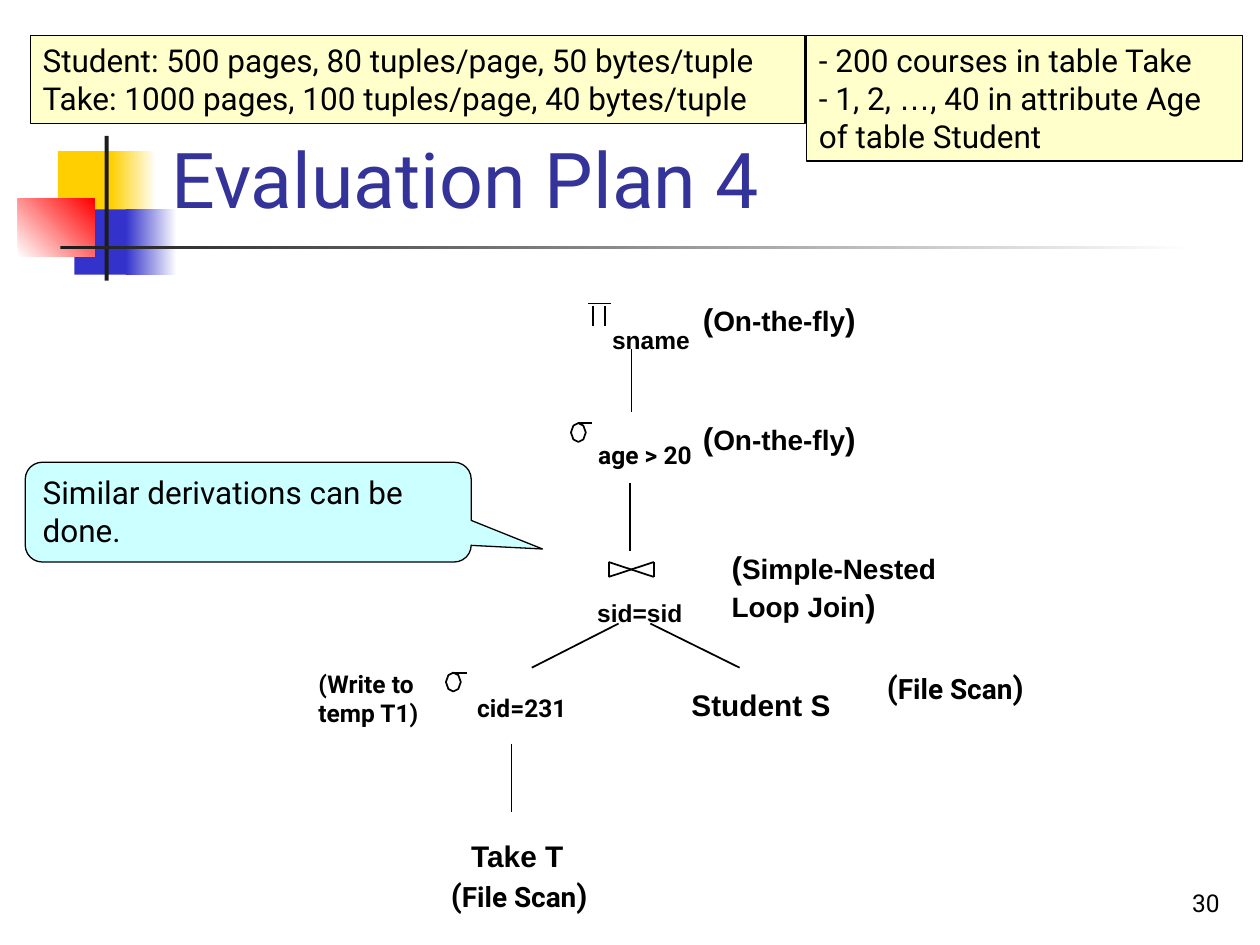
import itertools

import lxml.etree
import pptx
import pptx.dml.color
import pptx.enum.shapes
import pptx.enum.text
import pptx.oxml.ns
import pptx.util

KIND = pptx.enum.shapes.MSO_SHAPE
ALIGN = pptx.enum.text.PP_ALIGN
ANCHOR = pptx.enum.text.MSO_ANCHOR


def hue(code):
    return pptx.dml.color.RGBColor.from_string(code)


def write(shape, text, font="Roboto", size=18, big=None, color="000000",
          bold=False, wrap=True, align=ALIGN.LEFT, anchor=ANCHOR.TOP):
    """Fill a shape with lines of text; big is the size of the brackets."""
    frame = shape.text_frame
    frame.auto_size = pptx.enum.text.MSO_AUTO_SIZE.NONE
    frame.word_wrap = wrap
    frame.vertical_anchor = anchor
    for index, line in enumerate(text.split("\n")):
        para = frame.add_paragraph() if index else frame.paragraphs[0]
        para.alignment = align
        style = lambda ch: (big if big and ch in "()" else size,
                            "Arial" if ch == "…" else font)
        for (points, face), chars in itertools.groupby(line, style):
            run = para.add_run()
            run.text = "".join(chars)
            run.font.name = face
            run.font.size = pptx.util.Pt(points)
            run.font.bold = bold
            run.font.color.rgb = hue(color)


deck = pptx.Presentation()
deck.slide_width = pptx.util.Cm(25.4)
deck.slide_height = pptx.util.Cm(19.05)
slide = deck.slides.add_slide(deck.slide_layouts[5])
shapes = slide.shapes

# Corner ornament: place, start colour, end colour, angle
blocks = [
    ((1.17, 3.05, 1.22, 1.32), "FFCF01", None, 0),
    ((2.24, 3.05, 0.91, 1.32), "FFCF01", "FFFFFF", 0),
    ((1.5, 4.22, 1.17, 1.32), "3333CC", None, 0),
    ((2.54, 4.22, 1.02, 1.32), "3333CC", "FFFFFF", 0),
    ((0.36, 4.01, 1.55, 1.17), "FFFFFF", "FF0000", 45),
    ((2.11, 2.74, 0.08, 2.92), "1C1C1C", None, 0),
    ((1.22, 4.95, 22.86, 0.08), "1C1C1C", "FFFFFF", 0),
]
for place, start, end, angle in blocks:
    block = shapes.add_shape(KIND.RECTANGLE, *map(pptx.util.Cm, place))
    block.shadow.inherit = False
    block.line.fill.background()
    if end:
        block.fill.gradient()
        block.fill.gradient_angle = angle
        for stop, code in zip(block.fill.gradient_stops, (start, end)):
            stop.color.rgb = hue(code)
    else:
        block.fill.solid()
        block.fill.fore_color.rgb = hue(start)

# Title, in front of the ornament
title = shapes.title
title.left, title.top, title.width, title.height = map(
    pptx.util.Cm, (3.2, 0.58, 21.64, 4.06))
write(title, "Evaluation Plan 4", size=44, color="333399", anchor=ANCHOR.BOTTOM)
shapes._spTree.append(title._element)

# Slide number
number = shapes.add_textbox(*map(pptx.util.Cm, (19.56, 17.35, 5.28, 1.27)))
write(number, "30", size=14, align=ALIGN.RIGHT, anchor=ANCHOR.BOTTOM)

# Strokes of the plan tree: from x, y to x, y
sigmas = [(8.99, 13.56), (11.51, 8.53)]
strokes = [
    (11.96, 6.17, 11.96, 6.58),    # projection sign
    (12.19, 6.17, 12.19, 6.58),
    (11.86, 6.12, 12.32, 6.12),
    (12.27, 11.33, 12.27, 11.63),  # join sign
    (13.18, 11.33, 13.18, 11.63),
    (12.27, 11.33, 13.18, 11.63),
    (12.27, 11.63, 13.18, 11.33),
    (12.73, 7.04, 12.73, 8.31),    # branches
    (12.7, 9.73, 12.7, 11.1),
    (10.72, 13.46, 12.47, 12.57),
    (13.11, 12.57, 14.91, 13.46),
    (10.31, 14.99, 10.31, 16.36),
]
strokes += [(x + 0.15, y, x + 0.43, y) for x, y in sigmas]
for ends in strokes:
    stroke = shapes.add_connector(pptx.enum.shapes.MSO_CONNECTOR.STRAIGHT,
                                  *map(pptx.util.Cm, ends))
    stroke.line.color.rgb = hue("000000")
    stroke.line.width = pptx.util.Pt(1)
    lxml.etree.SubElement(stroke._element.spPr, pptx.oxml.ns.qn("a:effectLst"))

# Rings of the selection signs
ring = [(0.3, 0.19), (0.25, 0.05), (0.15, 0), (0.05, 0.05),
        (0, 0.19), (0.05, 0.33), (0.15, 0.38), (0.25, 0.33)]
for x, y in sigmas:
    dots = [(pptx.util.Cm(x + dx), pptx.util.Cm(y + dy)) for dx, dy in ring]
    path = shapes.build_freeform(*dots[0])
    path.add_line_segments(dots[1:], close=True)
    loop = path.convert_to_shape()
    loop.shadow.inherit = False
    loop.fill.background()
    loop.line.color.rgb = hue("000000")
    loop.line.width = pptx.util.Pt(1)

# Labels of the plan tree
labels = [
    ((9.25, 16.76, 2.41, 0.97), "Take T", "Arial", 17, None),
    ((13.69, 13.72, 3.3, 0.97), "Student S", "Arial", 17, None),
    ((11.79, 11.94, 2.24, 0.84), "sid=sid", "Arial", 14, None),
    ((9.37, 13.84, 2.49, 0.84), "cid=231", "Roboto", 14, None),
    ((12.09, 6.43, 2.08, 0.84), "sname", "Arial", 14, None),
    ((11.81, 8.74, 2.51, 0.84), "age > 20", "Roboto", 14, None),
    ((6.17, 13.36, 2.82, 1.45), "(Write to\ntemp T1)", "Roboto", 14, None),
    ((8.84, 17.53, 3.38, 1.02), "(File Scan)", "Roboto", 16, 18),
    ((17.63, 13.34, 3.38, 1.02), "(File Scan)", "Roboto", 16, 18),
    ((14.5, 10.92, 4.62, 1.78), "(Simple-Nested\nLoop Join)", "Arial", 16, 18),
    ((13.92, 8.33, 3.58, 1.02), "(On-the-fly)", "Arial", 16, 18),
    ((13.92, 5.92, 3.58, 1.02), "(On-the-fly)", "Arial", 16, 18),
]
for place, text, font, size, big in labels:
    label = shapes.add_textbox(*map(pptx.util.Cm, place))
    write(label, text, font=font, size=size, big=big, bold=True, wrap=False)

# Fact boxes and callout
notes = [
    (KIND.RECTANGLE, (0.61, 0.71, 15.62, 1.78), "FFFFCC", ANCHOR.TOP,
     "Student: 500 pages, 80 tuples/page, 50 bytes/tuple\n"
     "Take: 1000 pages, 100 tuples/page, 40 bytes/tuple"),
    (KIND.RECTANGLE, (16.26, 0.71, 8.79, 2.54), "FFFFCC", ANCHOR.TOP,
     "- 200 courses in table Take\n"
     "- 1, 2, …, 40 in attribute Age\nof table Student"),
    (KIND.ROUNDED_RECTANGULAR_CALLOUT, (0.51, 9.32, 8.99, 2.01), "CCFFFF",
     ANCHOR.TOP, "Similar derivations can be done."),
]
for kind, place, fill, anchor, text in notes:
    note = shapes.add_shape(kind, *map(pptx.util.Cm, place))
    note.shadow.inherit = False
    note.fill.solid()
    note.fill.fore_color.rgb = hue(fill)
    note.line.color.rgb = hue("000000")
    note.line.width = pptx.util.Pt(0.75)
    write(note, text, anchor=anchor)
for index, value in enumerate((0.66, 0.37, 0.17)):
    note.adjustments[index] = value

deck.save("out.pptx")
